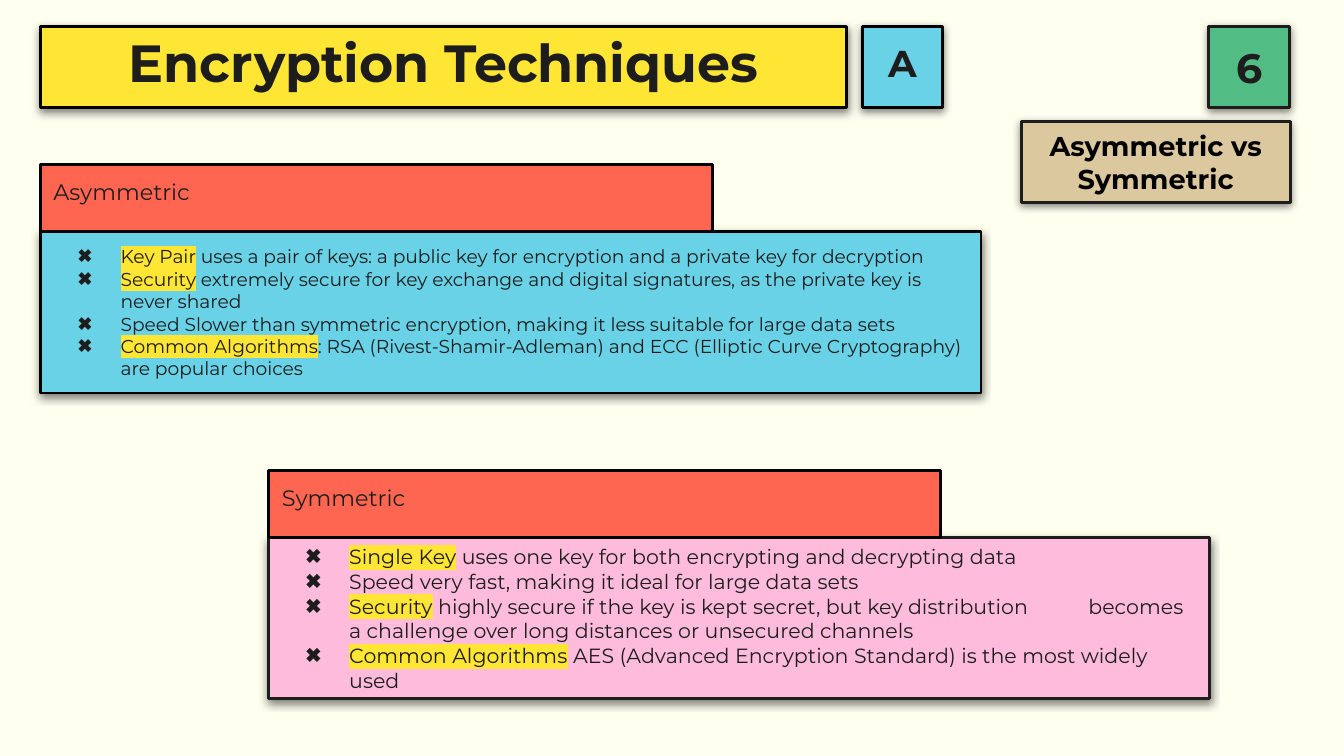
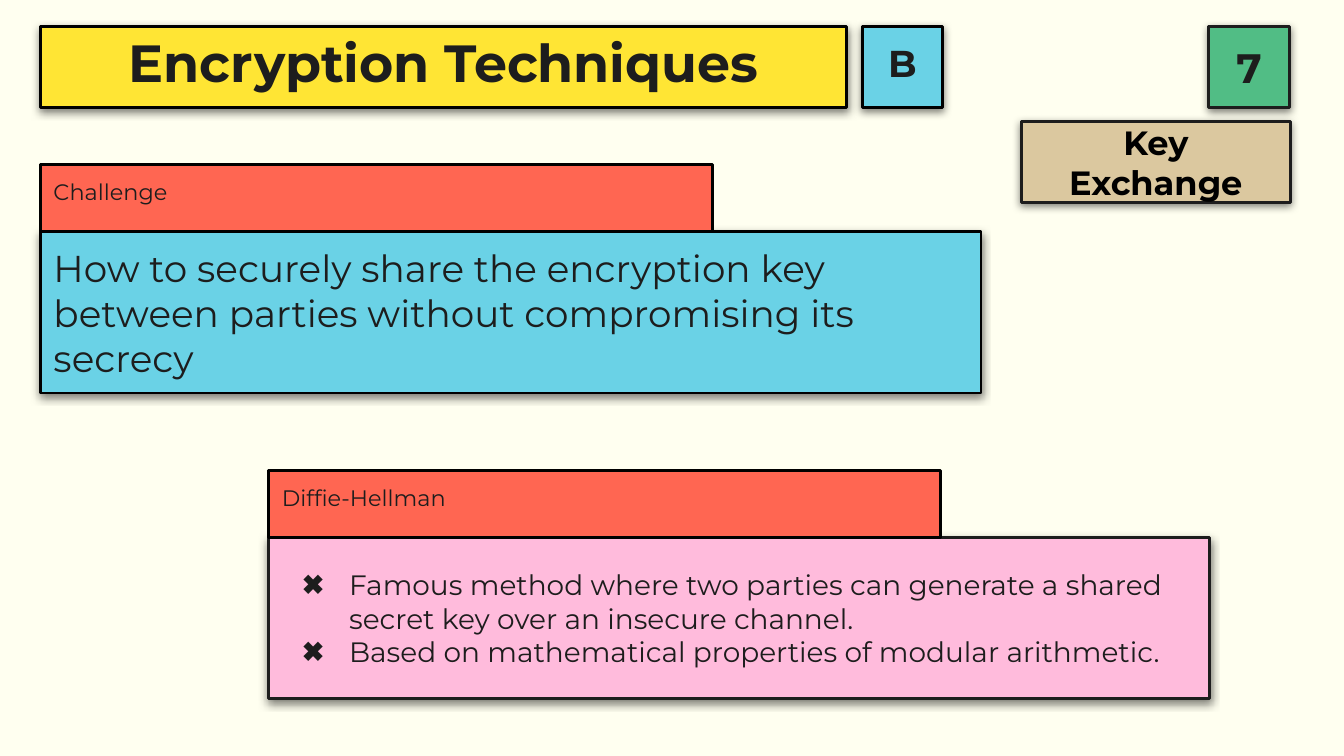
import lxml.etree
import pptx
import pptx.dml.color
import pptx.enum.shapes
import pptx.enum.text
import pptx.oxml.ns
import pptx.util

EMU_PER_PX = 4572
FONT = "Montserrat"
BLACK, INK, CREAM = "000000", "1D1D1D", "FFFFF0"
YELLOW, BLUE, GREEN = "FFE534", "6AD2E6", "51BD85"
SAND, CORAL, PINK = "DBC89F", "FF6652", "FFBBDC"

HEADER = (60, 40, 1860, 261)
UPPER_SECTION = (60, 245, 1400, 340)
LOWER_SECTION = (400, 700, 1400, 340)

CENTER = pptx.enum.text.PP_ALIGN.CENTER
LEFT = pptx.enum.text.PP_ALIGN.LEFT
MIDDLE = pptx.enum.text.MSO_ANCHOR.MIDDLE
TOP = pptx.enum.text.MSO_ANCHOR.TOP

SLIDES = [
    {
        "letter": "A", "number": "6",
        "topic": "Asymmetric vs Symmetric", "topic_size": 14.6,
        "upper": {
            "heading": "Asymmetric", "size": 10, "hanging": 64,
            "paragraphs": [
                ("Key Pair", " uses a pair of keys: a public key for encryption and a private key for decryption"),
                ("Security", " extremely secure for key exchange and digital signatures, as the private key is never shared"),
                ("", "Speed Slower than symmetric encryption, making it less suitable for large data sets"),
                ("Common Algorithms", ": RSA (Rivest-Shamir-Adleman) and ECC (Elliptic Curve Cryptography) are popular choices"),
            ],
        },
        "lower": {
            "heading": "Symmetric", "size": 11, "hanging": 65,
            "paragraphs": [
                ("Single Key", " uses one key for both encrypting and decrypting data"),
                ("", "Speed very fast, making it ideal for large data sets"),
                ("Security", " highly secure if the key is kept secret, but key distribution \tbecomes a challenge over long distances or unsecured channels"),
                ("Common Algorithms", " AES (Advanced Encryption Standard) is the most widely used"),
            ],
        },
    },
    {
        "letter": "B", "number": "7",
        "topic": "Key Exchange", "topic_size": 18,
        "upper": {
            "heading": "Challenge", "size": 20, "hanging": 0,
            "paragraphs": [
                ("", "How to securely share the encryption key between parties without compromising its secrecy"),
            ],
        },
        "lower": {
            "heading": "Diffie-Hellman", "size": 15, "hanging": 70,
            "paragraphs": [
                ("", "Famous method where two parties can generate a shared secret key over an insecure channel."),
                ("", "Based on mathematical properties of modular arithmetic."),
            ],
        },
    },
]


def px(length):
    return pptx.util.Emu(length * EMU_PER_PX)


def color(value):
    return pptx.dml.color.RGBColor.from_string(value)


def add_child(parent, tag, **attributes):
    child = lxml.etree.SubElement(parent, pptx.oxml.ns.qn(tag))
    for name, value in attributes.items():
        child.set(name, str(value))
    return child


def add_shadow(shape):
    effects = shape._element.spPr.find(pptx.oxml.ns.qn("a:effectLst"))
    shadow = add_child(effects, "a:outerShdw", blurRad=pptx.util.Pt(4.5), dist=pptx.util.Pt(1.5),
                       dir=90 * 60000, algn="bl", rotWithShape=0)
    add_child(add_child(shadow, "a:srgbClr", val=BLACK), "a:alpha", val=50000)


def add_panel(slide, left, top, width, height, fill, line=BLACK, shadow=True):
    shape = slide.shapes.add_shape(pptx.enum.shapes.MSO_SHAPE.RECTANGLE,
                                   px(left), px(top), px(width), px(height))
    shape.shadow.inherit = False
    if shadow:
        add_shadow(shape)
    shape.fill.solid()
    shape.fill.fore_color.rgb = color(fill)
    shape.line.color.rgb = color(line)
    shape.line.width = pptx.util.Pt(1.5)
    return shape


def add_bullet(paragraph, hanging):
    properties = paragraph._p.get_or_add_pPr()
    properties.set("marL", str(px(100)))
    properties.set("indent", str(px(-hanging)))
    add_child(add_child(properties, "a:buClr"), "a:srgbClr", val=INK)
    add_child(properties, "a:buFont", typeface=FONT)
    add_child(properties, "a:buChar", char="✖")


def add_run(paragraph, text, size, text_color, bold, highlight=None):
    run = paragraph.add_run()
    run.text = text
    run.font.size = pptx.util.Pt(size)
    run.font.bold = bold
    run.font.color.rgb = color(text_color)
    run.font.name = FONT
    if highlight:
        properties = run._r.get_or_add_rPr()
        mark = add_child(properties, "a:highlight")
        add_child(mark, "a:srgbClr", val=highlight)
        properties.find(pptx.oxml.ns.qn("a:latin")).addprevious(mark)


def write_text(shape, paragraphs, size, text_color=INK, bold=False, align=CENTER,
               anchor=MIDDLE, line_spacing=None, hanging=0):
    frame = shape.text_frame
    frame.word_wrap = True
    frame.vertical_anchor = anchor
    frame.margin_left = frame.margin_right = frame.margin_top = frame.margin_bottom = px(20)
    for index, (marked, plain) in enumerate(paragraphs):
        paragraph = frame.add_paragraph() if index else frame.paragraphs[0]
        paragraph.alignment = align
        if hanging:
            add_bullet(paragraph, hanging)
        if line_spacing:
            paragraph.line_spacing = line_spacing
        if marked:
            add_run(paragraph, marked, size, text_color, bold, YELLOW)
        add_run(paragraph, plain, size, text_color, bold)


def add_header(slide, box, letter, number, topic, topic_size):
    left, top, width, height = box
    side = 120
    right = left + width
    title = add_panel(slide, left, top, 1200, side, YELLOW)
    write_text(title, [("", "Encryption Techniques")], size=28, bold=True, line_spacing=0.8)
    letter_tile = add_panel(slide, left + 1223, top, side, side, BLUE)
    write_text(letter_tile, [("", letter)], size=20, bold=True, line_spacing=0.8)
    number_tile = add_panel(slide, right - side - 1, top, side, side, GREEN, line=INK)
    write_text(number_tile, [("", number)], size=22, bold=True)
    topic_panel = add_panel(slide, right - 400, top + height - side, 400, side, SAND, line=INK)
    write_text(topic_panel, [("", topic)], size=topic_size, text_color=BLACK, bold=True)


def add_section(slide, box, fill, line, heading, paragraphs, size, hanging):
    left, top, width, height = box
    tab_height = 100
    body = add_panel(slide, left, top + tab_height, width, height - tab_height, fill, line=line)
    write_text(body, paragraphs, size=size, align=LEFT, hanging=hanging)
    tab = add_panel(slide, left, top, width - 400, tab_height, CORAL, shadow=False)
    write_text(tab, [("", heading)], size=12, align=LEFT, anchor=TOP)


def add_technique_slide(presentation, content):
    slide = presentation.slides.add_slide(presentation.slide_layouts[6])
    slide.background.fill.solid()
    slide.background.fill.fore_color.rgb = color(CREAM)
    add_header(slide, HEADER, content["letter"], content["number"],
               content["topic"], content["topic_size"])
    add_section(slide, UPPER_SECTION, BLUE, BLACK, **content["upper"])
    add_section(slide, LOWER_SECTION, PINK, INK, **content["lower"])


def main():
    presentation = pptx.Presentation()
    presentation.slide_width = px(2000)
    presentation.slide_height = px(1125)
    for content in SLIDES:
        add_technique_slide(presentation, content)
    presentation.save("out.pptx")


if __name__ == "__main__":
    main()
